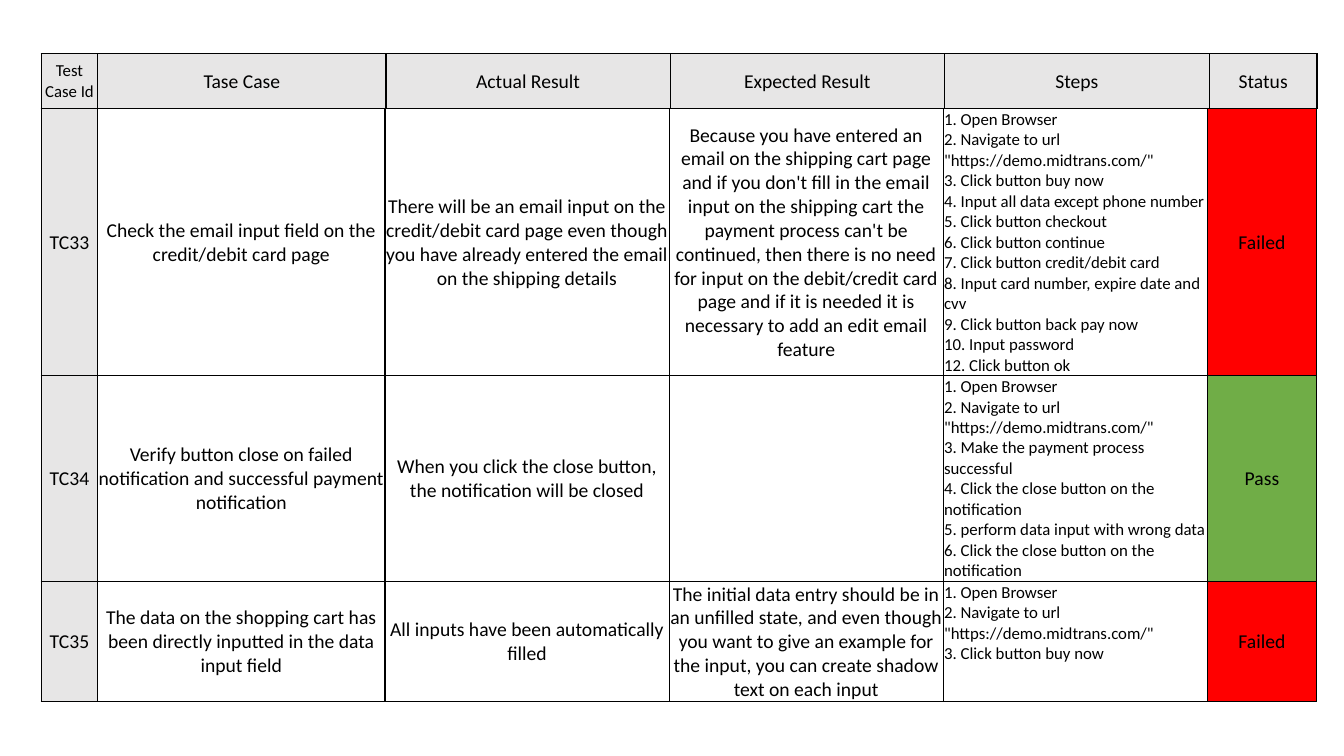
"""Build a slide with a test case report: a header table above a results table."""
from dataclasses import dataclass

from lxml import etree
from pptx import Presentation
from pptx.dml.color import RGBColor
from pptx.enum import text
from pptx.oxml import ns
from pptx.util import Pt

COLORS = {"ink": "000000", "label": "E7E6E6", "Failed": "FF0000", "Pass": "70AD47"}
FONT = "Calibri"
LEFT = 29.5
OPENING = '1. Open Browser\n2. Navigate to url "https://demo.midtrans.com/"\n'


@dataclass(frozen=True)
class Entry:
    """Content and look of one table cell."""

    wording: str
    fill: str = ""
    size: float = 14
    centred: bool = True


@dataclass(frozen=True)
class TestCase:
    """One reported test case."""

    case_id: str
    check: str
    actual: str
    expected: str
    steps: str
    status: str

    def entries(self) -> list[Entry]:
        """Return the cells of this test case from left to right."""
        return [
            Entry(self.case_id, "label"),
            Entry(self.check),
            Entry(self.actual),
            Entry(self.expected),
            Entry(OPENING + self.steps, size=12, centred=False),
            Entry(self.status, self.status),
        ]


@dataclass(frozen=True)
class Grid:
    """Place, measures and content of one table."""

    top: float
    widths: list[float]
    heights: list[float]
    rows: list[list[Entry]]


HEADINGS = [Entry("Test Case Id", "label", 12)] + [
    Entry(heading, "label")
    for heading in ("Tase Case", "Actual Result", "Expected Result", "Steps", "Status")
]

TEST_CASES = [
    TestCase(
        "TC33",
        "Check the email input field on the credit/debit card page",
        "There will be an email input on the credit/debit card page even though "
        "you have already entered the email on the shipping details",
        "Because you have entered an email on the shipping cart page and if you "
        "don't fill in the email input on the shipping cart the payment process "
        "can't be continued, then there is no need for input on the debit/credit "
        "card page and if it is needed it is necessary to add an edit email feature",
        "3. Click button buy now\n"
        "4. Input all data except phone number\n"
        "5. Click button checkout\n"
        "6. Click button continue\n"
        "7. Click button credit/debit card\n"
        "8. Input card number, expire date and cvv\n"
        "9. Click button back pay now\n"
        "10. Input password\n"
        "12. Click button ok",
        "Failed",
    ),
    TestCase(
        "TC34",
        "Verify button close on failed notification and successful payment notification",
        "When you click the close button, the notification will be closed",
        "",
        "3. Make the payment process successful\n"
        "4. Click the close button on the notification\n"
        "5. perform data input with wrong data\n"
        "6. Click the close button on the notification",
        "Pass",
    ),
    TestCase(
        "TC35",
        "The data on the shopping cart has been directly inputted in the data input field",
        "All inputs have been automatically filled",
        "The initial data entry should be in an unfilled state, and even though you "
        "want to give an example for the input, you can create shadow text on each input",
        "3. Click button buy now",
        "Failed",
    ),
]

GRIDS = [
    Grid(38.3, [40.3, 206, 203, 195.8, 189.2, 77], [39], [HEADINGS]),
    Grid(
        77.6,
        [40.3, 205.2, 203, 195.8, 188.8, 77.8],
        [190.5, 147, 85.5],
        [case.entries() for case in TEST_CASES],
    ),
]


def add_borders(cell) -> None:
    """Draw a one-point line on every side of a cell."""
    properties = cell._tc.get_or_add_tcPr()
    for side in ("lnL", "lnR", "lnT", "lnB"):
        border = etree.SubElement(properties, ns.qn(f"a:{side}"), w=str(Pt(1)))
        solid = etree.SubElement(border, ns.qn("a:solidFill"))
        etree.SubElement(solid, ns.qn("a:srgbClr"), val=COLORS["ink"])


def fill_cell(cell, entry: Entry) -> None:
    """Write and format one cell."""
    cell.margin_left = cell.margin_top = cell.margin_right = Pt(0.6)
    cell.margin_bottom = Pt(0)
    add_borders(cell)
    if entry.fill:
        cell.fill.solid()
        cell.fill.fore_color.rgb = RGBColor.from_string(COLORS[entry.fill])
    else:
        cell.fill.background()

    anchor = text.MSO_ANCHOR
    cell.vertical_anchor = anchor.MIDDLE if entry.centred else anchor.TOP
    paragraph = cell.text_frame.paragraphs[0]
    align = text.PP_ALIGN
    paragraph.alignment = align.CENTER if entry.centred else align.LEFT
    if not entry.wording:
        return
    for index, line in enumerate(entry.wording.split("\n")):
        if index:
            paragraph.add_line_break()
        run = paragraph.add_run()
        run.text = line
        run.font.name = FONT
        run.font.size = Pt(entry.size)
        run.font.color.rgb = RGBColor.from_string(COLORS["ink"])


def add_grid(slide, grid: Grid) -> None:
    """Add one table to the slide."""
    table = slide.shapes.add_table(
        len(grid.heights), len(grid.widths),
        Pt(LEFT), Pt(grid.top), Pt(sum(grid.widths)), Pt(sum(grid.heights)),
    ).table
    table.first_row = table.horz_banding = False
    for column, width in zip(table.columns, grid.widths):
        column.width = Pt(width)
    for row, height, entries in zip(table.rows, grid.heights, grid.rows):
        row.height = Pt(height)
        for cell, entry in zip(row.cells, entries):
            fill_cell(cell, entry)


def main() -> None:
    """Build and save the presentation."""
    report = Presentation()
    report.slide_width, report.slide_height = Pt(960), Pt(540)
    slide = report.slides.add_slide(report.slide_layouts[6])
    for grid in GRIDS:
        add_grid(slide, grid)
    report.save("out.pptx")


if __name__ == "__main__":
    main()
